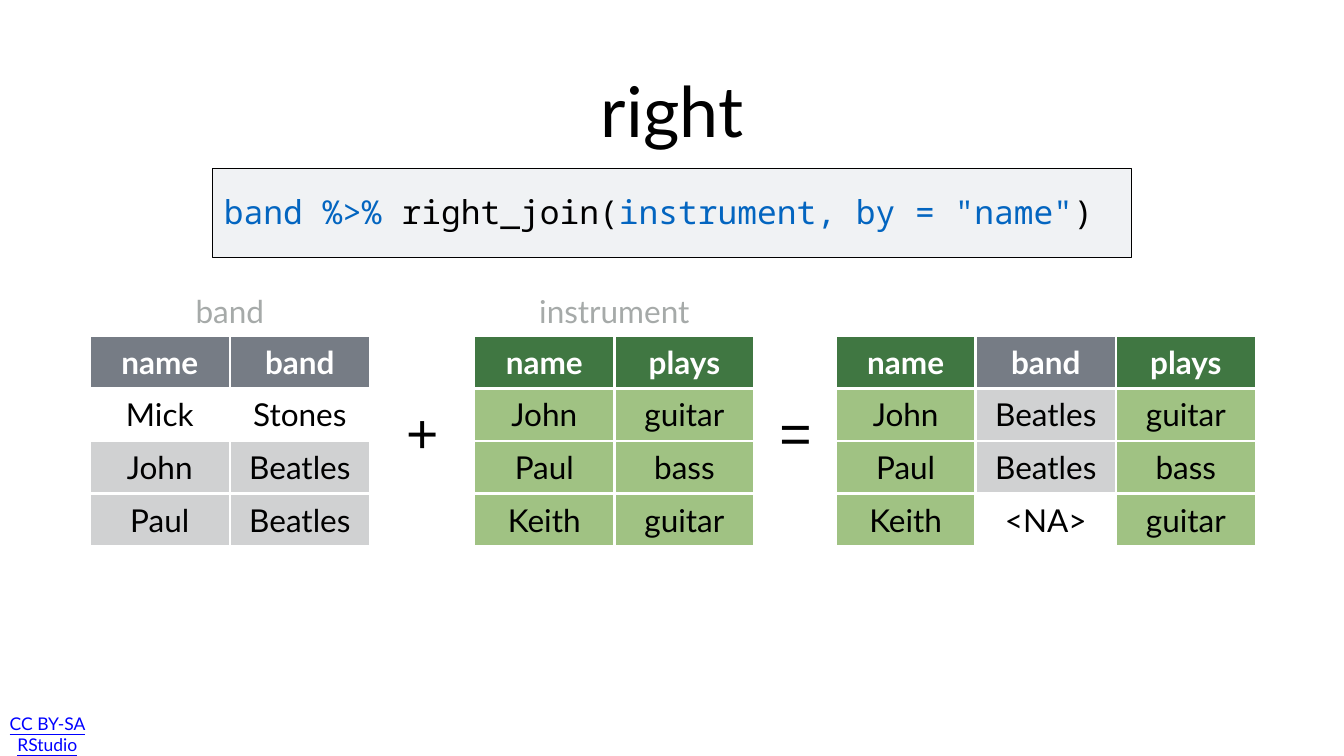
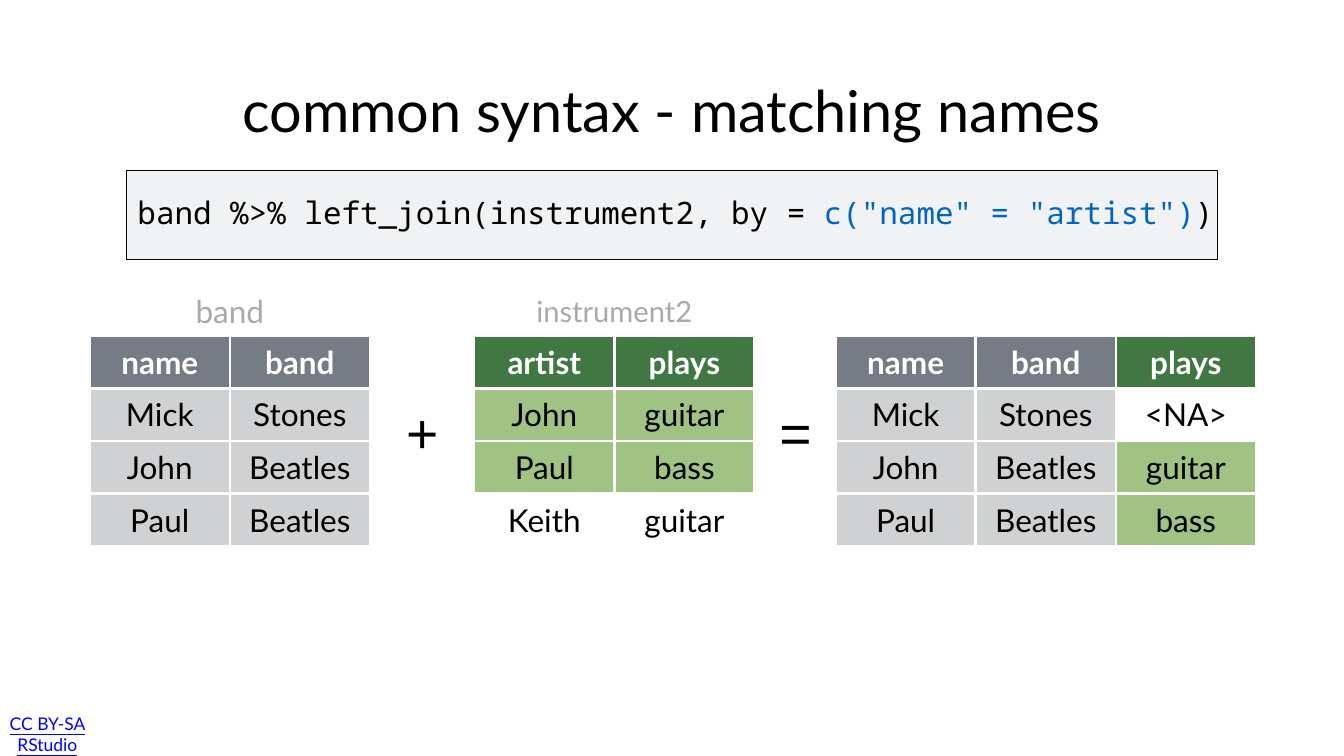
from lxml import etree
from pptx import Presentation
from pptx import util as u
from pptx.dml.color import RGBColor
from pptx.enum import shapes, text
from pptx.oxml.ns import qn

BLACK, WHITE, BLUE, LINK = "000000", "FFFFFF", "0365C0", "0000FF"
PANEL, LABEL = "F0F2F4", "A6AAA9"
GRAY = ("767C85", "D0D1D2")  # header fill, body fill
GREEN = ("407742", "A0C283")
SANS, MONO, SYMBOL = "Lato", "Noto Sans Mono", "Arial"

COLUMN, ROW = 7.06, 2.65
TABLE_TOP = 16.93
BAND_LEFT, INSTRUMENT_LEFT, RESULT_LEFT = 4.52, 23.9, 42.11

BAND = [("name", "band"), ("Mick", "Stones"),
        ("John", "Beatles"), ("Paul", "Beatles")]
PLAYERS = [("John", "guitar"), ("Paul", "bass"), ("Keith", "guitar")]


def rgb(hex_code):
    return RGBColor.from_string(hex_code)


class JoinDeck:
    def __init__(self):
        self.deck = Presentation()
        self.deck.slide_width, self.deck.slide_height = u.Cm(67.73), u.Cm(38.1)

    def start_slide(self, title, title_size):
        self.slide = self.deck.slides.add_slide(self.deck.slide_layouts[6])
        self.text((11.13, 2.18, 45.47, 6.65), [(title, BLACK)], title_size, inset=0.15)
        self.license_line()

    def add_runs(self, paragraph, runs, size, font, bold=False, underline=False,
                 align=text.PP_ALIGN.CENTER):
        """Add runs given as (words, colour) pairs."""
        paragraph.alignment = align
        for words, color in runs:
            run = paragraph.add_run()
            run.text = words
            run.font.size, run.font.name = u.Pt(size), font
            run.font.bold, run.font.underline = bold, underline
            run.font.color.rgb = rgb(color)

    def text(self, place, runs, size, font=SANS, inset=0.2, wrap=True,
             anchor=text.MSO_ANCHOR.MIDDLE, **style):
        frame = self.slide.shapes.add_textbox(*map(u.Cm, place)).text_frame
        frame.word_wrap, frame.vertical_anchor = wrap, anchor
        frame.margin_left = frame.margin_right = u.Cm(inset)
        frame.margin_top = frame.margin_bottom = u.Cm(inset)
        self.add_runs(frame.paragraphs[0], runs, size, font, **style)
        return frame

    def license_line(self):
        """Add the footer, with a right margin that breaks it into two lines."""
        frame = self.text((0.3, 36.22, 6.76, 1.52), [("CC BY-SA RStudio", LINK)],
                          25, underline=True)
        frame.margin_left, frame.margin_right = u.Cm(0.08), u.Cm(2.67)

    def code(self, left, top, width, runs, size, indent):
        panel = self.slide.shapes.add_shape(
            shapes.MSO_SHAPE.RECTANGLE, *map(u.Cm, (left, top, width, 4.5)))
        panel.shadow.inherit = False
        panel.fill.solid()
        panel.fill.fore_color.rgb = rgb(PANEL)
        panel.line.color.rgb = rgb(BLACK)
        panel.line.width = u.Pt(1)
        self.text((left + indent, top + 1.03, width - indent, 3.96), runs, size, MONO,
                  inset=0.15, anchor=text.MSO_ANCHOR.TOP, align=text.PP_ALIGN.LEFT)

    def label(self, name, table_left, width, size=45):
        """Centre a name above a two-column table."""
        self.text((table_left + COLUMN - width / 2, 14.4, width, 2.54),
                  [(name, LABEL)], size)

    def operator(self, sign, left):
        self.text((left, 19.89, 2.11, 3.71), [(sign, BLACK)], 79, SYMBOL, wrap=False)

    def borders(self, cell):
        properties = cell._tc.get_or_add_tcPr()
        for side in ("a:lnL", "a:lnR", "a:lnT", "a:lnB"):
            line = etree.SubElement(properties, qn(side), w=str(u.Pt(4)))
            fill = etree.SubElement(line, qn("a:solidFill"))
            etree.SubElement(fill, qn("a:srgbClr"), val=WHITE)

    def table(self, left, rows, tones, unmatched=()):
        """Draw rows with one tone per column; unmatched (row, column) cells stay clear."""
        place = (left, TABLE_TOP, COLUMN * len(tones), ROW * len(rows))
        grid = self.slide.shapes.add_table(
            len(rows), len(tones), *map(u.Cm, place)).table
        grid.horz_banding = False
        for r, values in enumerate(rows):
            grid.rows[r].height = u.Cm(ROW)
            for c, value in enumerate(values):
                grid.columns[c].width = u.Cm(COLUMN)
                cell = grid.cell(r, c)
                cell.vertical_anchor = text.MSO_ANCHOR.MIDDLE
                cell.margin_left = cell.margin_right = u.Cm(0.15)
                cell.margin_top = cell.margin_bottom = u.Cm(0.15)
                self.borders(cell)
                if (r, c) in unmatched:
                    cell.fill.background()
                else:
                    cell.fill.solid()
                    cell.fill.fore_color.rgb = rgb(tones[c][min(r, 1)])
                header = r == 0
                self.add_runs(cell.text_frame.paragraphs[0],
                              [(value, WHITE if header else BLACK)], 45, SANS,
                              bold=header)

    def equation(self, instrument, instrument_size, key, result, result_tones,
                 band_gaps=(), instrument_gaps=(), result_gaps=()):
        """Lay out band + instrument = result."""
        self.table(BAND_LEFT, BAND, (GRAY, GRAY), band_gaps)
        self.label("band", BAND_LEFT, 6.83)
        self.operator("+", 20.22)
        self.table(INSTRUMENT_LEFT, [(key, "plays")] + PLAYERS, (GREEN, GREEN),
                   instrument_gaps)
        self.label(instrument, INSTRUMENT_LEFT, 8.64, instrument_size)
        self.operator("=", 39.04)
        self.table(RESULT_LEFT, [("name", "band", "plays")] + result, result_tones,
                   result_gaps)


def main():
    joins = JoinDeck()

    joins.start_slide("right", 100)
    joins.code(10.72, 8.48, 46.28, [
        ("band %>% ", BLUE), ("right_join(", BLACK),
        ('instrument, by = "name"', BLUE), (")", BLACK)], 47, indent=0.41)
    joins.equation(
        "instrument", 45, "name",
        [("John", "Beatles", "guitar"), ("Paul", "Beatles", "bass"),
         ("Keith", "<NA>", "guitar")],
        (GREEN, GRAY, GREEN), band_gaps=[(1, 0), (1, 1)], result_gaps=[(3, 1)])

    joins.start_slide("common syntax - matching names", 82.3)
    joins.code(6.38, 8.59, 54.99, [
        ("band %>% left_join(instrument2, by = ", BLACK),
        ('c("name" = "artist")', BLUE), (")", BLACK)], 44.2, indent=0.4)
    joins.equation(
        "instrument2", 41.6, "artist",
        [("Mick", "Stones", "<NA>"), ("John", "Beatles", "guitar"),
         ("Paul", "Beatles", "bass")],
        (GRAY, GRAY, GREEN), instrument_gaps=[(3, 0), (3, 1)], result_gaps=[(1, 2)])

    joins.deck.save("out.pptx")


if __name__ == "__main__":
    main()
